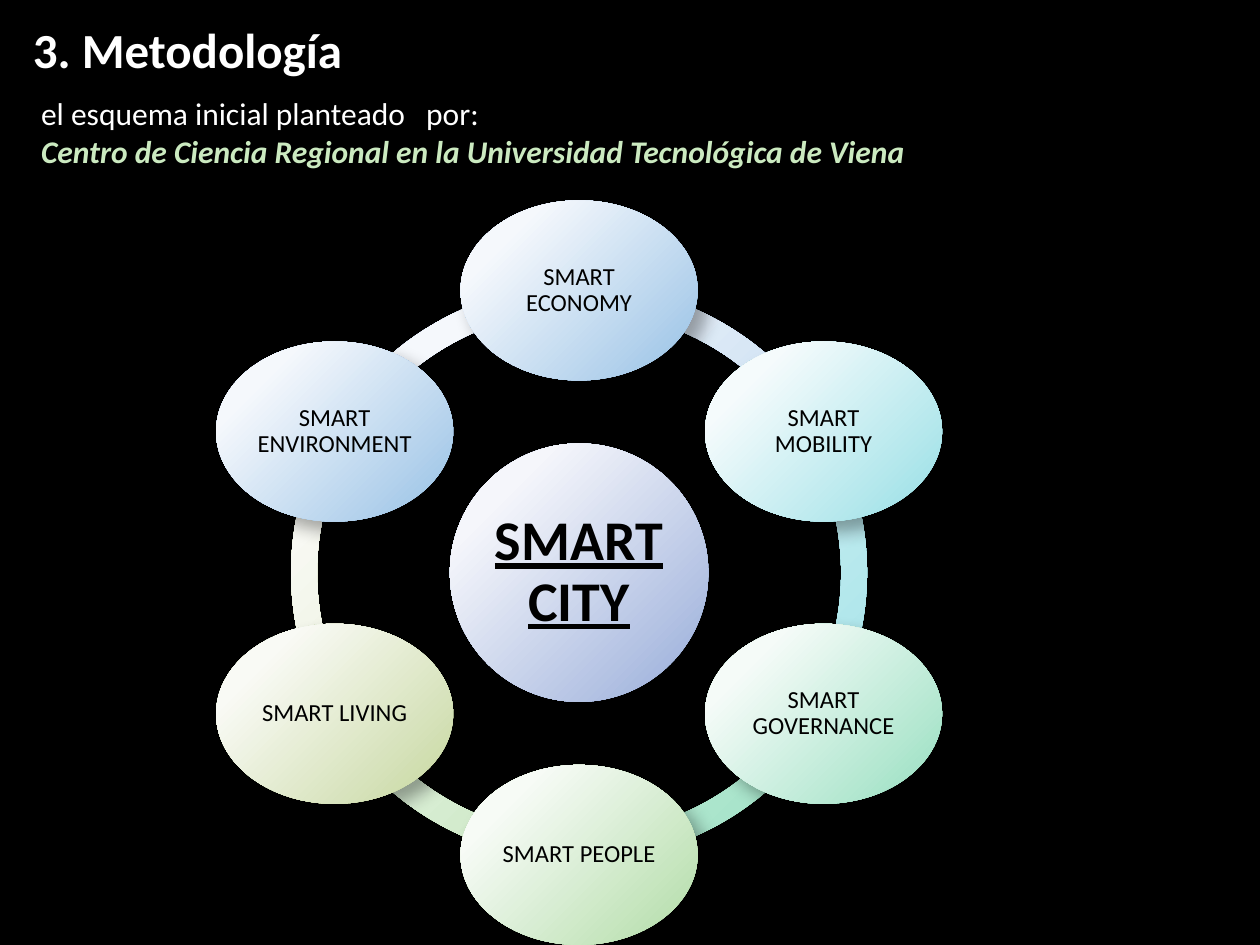
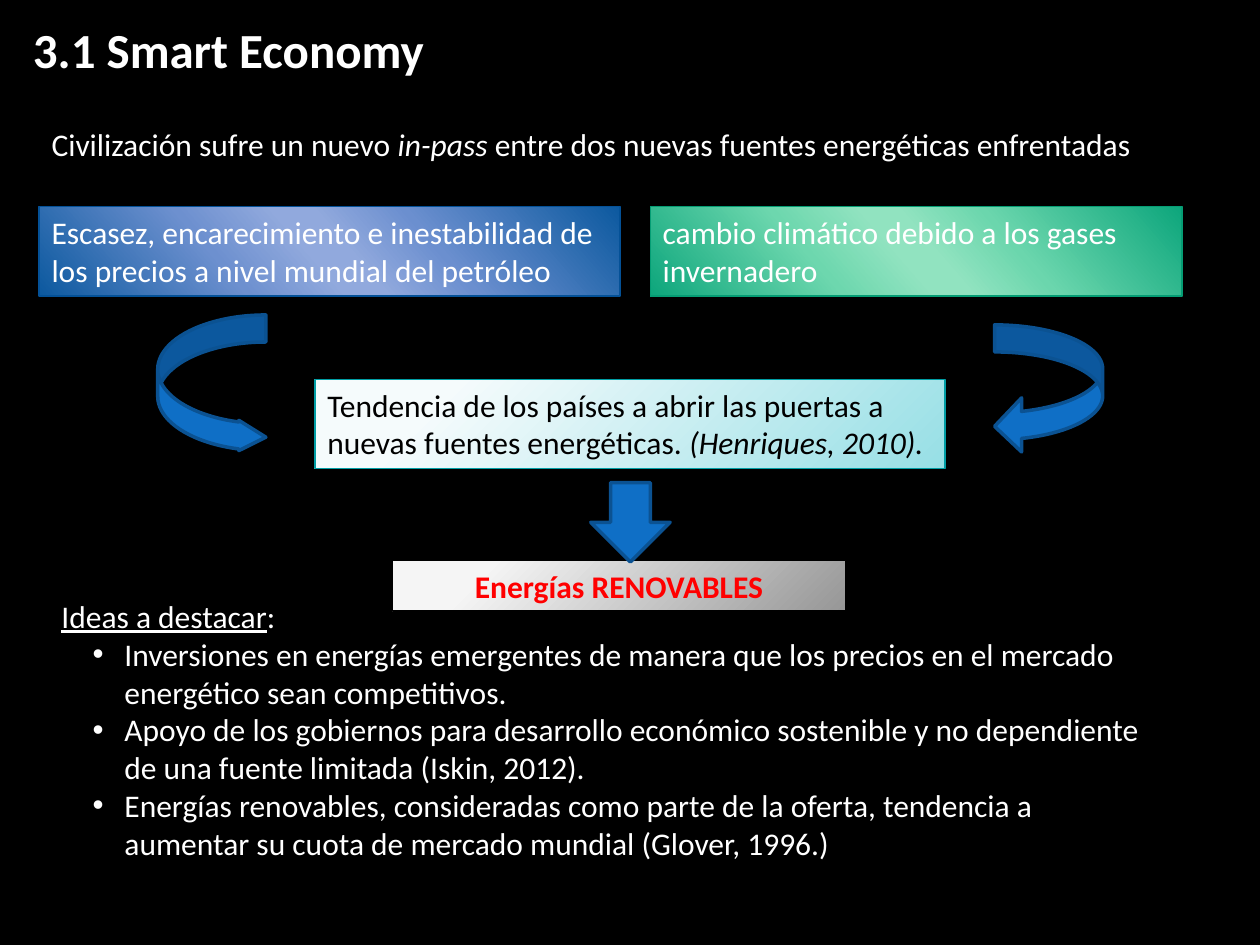
from math import cos, radians, sin

from pptx import Presentation
from pptx import util as u
from pptx.dml.color import RGBColor
from pptx.enum import shapes, text
from pptx.oxml import parse_xml
from pptx.oxml.ns import nsdecls

COLORS = {
    "black": "000000", "white": "FFFFFF", "pale green": "CBEAC0", "red": "FF0000",
    "arrow": "0F6FC6", "arrow edge": "0B5292",
    "blue edge": "045197", "mint edge": "059D74", "cyan edge": "019EA5",
}
# Light corner and far corner of each glossy tint
GLOSS = {
    "blue": ("F5F8FC", "97C1E5"), "cyan": ("F5FBFC", "97DFE5"),
    "mint": ("F5FBF8", "97DFC0"), "green": ("F7FBF6", "B1DCA7"),
    "olive": ("F9FAF5", "C6D79F"), "indigo": ("F5F6FB", "97ACD9"),
    "grey": ("F5F5F5", "979797"),
}
# Band colours from the edge to the middle and back
SHEEN_STOPS = (0, 33, 47, 53, 68, 100)
SHEEN = {
    "blue": ("0C599F", "6B8FCF", "91A9DD", "91A9DD", "6D90CF", "0C599F"),
    "mint": ("0DA67C", "6BD6AD", "91E3C0", "91E3C0", "6DD7AE", "0DA67C"),
}
GLOSS_SHADE = ('<a:path path="circle"><a:fillToRect l="-15000" t="-15000" '
               'r="115000" b="115000"/></a:path>')
SHEEN_SHADE = '<a:lin ang="8350000" scaled="1"/>'
GLOSS_SHADOW = (35, 10.2, 8)
SHEEN_SHADOW = (26, 15, 18)

BODY = {"name": "Calibri", "size": u.Pt(18), "color": "white"}
TITLE = {**BODY, "size": u.Pt(28), "bold": True}
NODE = {**BODY, "size": u.Pt(14), "color": "black"}
HUB = {**NODE, "size": u.Pt(32), "bold": True, "underline": True}

DIMENSIONS = [("SMART ECONOMY", "blue"), ("SMART MOBILITY", "cyan"),
              ("SMART GOVERNANCE", "mint"), ("SMART PEOPLE", "green"),
              ("SMART LIVING", "olive"), ("SMART ENVIRONMENT", "blue")]
IDEAS = [
    "Inversiones en energías emergentes de manera que los precios en el mercado "
    "energético sean competitivos.",
    "Apoyo de los gobiernos para desarrollo económico sostenible y no dependiente "
    "de una fuente limitada (Iskin, 2012).",
    "Energías renovables, consideradas como parte de la oferta, tendencia a "
    "aumentar su cuota de mercado mundial (Glover, 1996.)",
]


# ---- Shared helpers ----

def rgb(name):
    return RGBColor.from_string(COLORS[name])


def cm(*lengths):
    return [u.Cm(length) for length in lengths]


def write(frame, paragraphs, style, align=text.PP_ALIGN.LEFT,
          anchor=text.MSO_ANCHOR.TOP, inset=None):
    """Each paragraph is a list of (words, changes to the style)."""
    frame.word_wrap = True
    frame.auto_size = text.MSO_AUTO_SIZE.NONE
    frame.vertical_anchor = anchor
    if inset is not None:
        for side in ("left", "top", "right", "bottom"):
            setattr(frame, f"margin_{side}", u.Cm(inset))
    for index, runs in enumerate(paragraphs):
        paragraph = frame.paragraphs[0] if index == 0 else frame.add_paragraph()
        paragraph.alignment = align
        for words, changes in runs:
            run = paragraph.add_run()
            run.text = words
            for key, value in {**style, **changes}.items():
                if key == "color":
                    run.font.color.rgb = rgb(value)
                else:
                    setattr(run.font, key, value)


def add_text(slide, box, paragraphs):
    frame = slide.shapes.add_textbox(*cm(*box)).text_frame
    write(frame, paragraphs, BODY)
    return frame


def add_figure(slide, kind, box, edge=None, width=0.75, adjustments=()):
    figure = slide.shapes.add_shape(kind, *cm(*box))
    figure.shadow.inherit = False
    for index, value in enumerate(adjustments):
        figure.adjustments[index] = value
    if edge:
        figure.line.color.rgb = rgb(edge)
        figure.line.width = u.Pt(width)
    else:
        figure.line.fill.background()
    return figure


def shade(figure, stops, direction, shadow):
    """Give a figure a gradient and a soft shadow to its lower right."""
    marks = "".join(f'<a:gs pos="{position * 1000}"><a:srgbClr val="{color}"/></a:gs>'
                    for position, color in stops)
    properties = figure._element.spPr
    properties.prstGeom.addnext(parse_xml(
        f'<a:gradFill {nsdecls("a")} rotWithShape="1"><a:gsLst>{marks}</a:gsLst>'
        f'{direction}</a:gradFill>'))
    alpha, blur, distance = shadow
    properties.find("{*}effectLst").append(parse_xml(
        f'<a:outerShdw {nsdecls("a")} blurRad="{u.Pt(blur)}" dist="{u.Pt(distance)}" '
        f'dir="2700000" rotWithShape="0"><a:srgbClr val="{COLORS["black"]}">'
        f'<a:alpha val="{alpha * 1000}"/></a:srgbClr></a:outerShdw>'))


def add_glossy(slide, kind, box, tint, **options):
    figure = add_figure(slide, kind, box, **options)
    shade(figure, zip((20, 100), GLOSS[tint]), GLOSS_SHADE, GLOSS_SHADOW)
    return figure


def add_titled_slide(prs, words):
    slide = prs.slides.add_slide(prs.slide_layouts[5])
    title = slide.shapes.title
    title.left, title.top, title.width, title.height = cm(0.41, 0, 22.86, 1.98)
    write(title.text_frame, [[(words, {})]], TITLE, anchor=text.MSO_ANCHOR.MIDDLE)
    return slide


# ---- Methodology ----

def add_smart_city_wheel(slide, box):
    left, top, width, height = box
    center_x, center_y = left + width / 2, top + height / 2
    node_width, node_height = 4.78, 3.63
    orbit = (height - node_height) / 2

    def centered(wide, high, angle=0, distance=0):
        return (center_x + distance * cos(radians(angle)) - wide / 2,
                center_y + distance * sin(radians(angle)) - wide / 2 + (wide - high) / 2,
                wide, high)

    def add_disc(place, words, tint, style, inset):
        disc = add_glossy(slide, shapes.MSO_SHAPE.OVAL, place, tint)
        write(disc.text_frame, [[(words, {})]], style, text.PP_ALIGN.CENTER,
              text.MSO_ANCHOR.MIDDLE, inset)
        disc.text_frame.paragraphs[0].line_spacing = 0.9

    step = 360 / len(DIMENSIONS)
    wheel = [(270 + index * step, words, tint)
             for index, (words, tint) in enumerate(DIMENSIONS)]

    # Ring: each arc starts at the node of its tint; angles count 0.6 per degree
    for angle, _, tint in reversed(wheel):
        ends = [0.6 * (turn % 360) for turn in (angle, angle + step)]
        add_glossy(slide, shapes.MSO_SHAPE.BLOCK_ARC, centered(11.61, 11.61), tint,
                   adjustments=(*ends, 0.045))
    # Hub and nodes
    add_disc(centered(5.21, 5.21), "SMART CITY", "indigo", HUB, 0.1)
    for angle, words, tint in wheel:
        add_disc(centered(node_width, node_height, angle, orbit), words, tint, NODE, 0.05)


def build_methodology(prs):
    slide = add_titled_slide(prs, "3. Metodología")
    add_text(slide, (0.58, 1.78, 24.41, 1.8), [
        [("el esquema inicial planteado \t por:", {})],
        [("Centro de Ciencia Regional en la Universidad Tecnológica de Viena",
          {"color": "pale green", "bold": True, "italic": True})],
    ])
    add_smart_city_wheel(slide, (4.37, 4.04, 14.61, 15.01))


# ---- Smart economy ----

def add_causes(slide, box):
    left, top, width, height = box
    gap, oil_width = 0.61, 11.71
    climate_left = left + oil_width + gap
    causes = [
        (left, oil_width, "blue",
         "Escasez, encarecimiento e inestabilidad de los precios a nivel mundial del petróleo"),
        (climate_left, left + width - climate_left, "mint",
         "cambio climático debido a los gases invernadero"),
    ]
    for cause_left, cause_width, tint, words in causes:
        cause = add_figure(slide, shapes.MSO_SHAPE.RECTANGLE,
                           (cause_left, top, cause_width, height), f"{tint} edge")
        shade(cause, zip(SHEEN_STOPS, SHEEN[tint]), SHEEN_SHADE, SHEEN_SHADOW)
        write(cause.text_frame, [[(words, {})]], BODY)


def add_outcome(slide, box):
    left, top, width, _ = box
    # Trend and its result
    trend = add_glossy(slide, shapes.MSO_SHAPE.RECTANGLE,
                       (left + 3.17, top + 1.3, 12.7, 1.8), "cyan", edge="cyan edge")
    write(trend.text_frame, [[
        ("Tendencia de los países a abrir las puertas a nuevas fuentes energéticas. ", {}),
        ("(Henriques, 2010).", {"italic": True})]], {**BODY, "color": "black"})
    renewables = add_glossy(slide, shapes.MSO_SHAPE.RECTANGLE,
                            (left + 4.74, top + 4.95, 9.12, 1.02), "grey", edge="black")
    write(renewables.text_frame, [[("Energías RENOVABLES", {})]],
          {**BODY, "color": "red", "bold": True}, text.PP_ALIGN.CENTER)
    # Arrows
    arrows = [
        (shapes.MSO_SHAPE.CURVED_RIGHT_ARROW, (left, top, 2.18, 2.77), (0.25, 0.28, 0.25)),
        (shapes.MSO_SHAPE.CURVED_LEFT_ARROW,
         (left + width - 2.18, top + 0.2, 2.18, 2.59), ()),
        (shapes.MSO_SHAPE.DOWN_ARROW, (left + 8.73, top + 3.38, 1.6, 1.6), ()),
    ]
    for kind, place, adjustments in arrows:
        arrow = add_figure(slide, kind, place, "arrow edge", 2, adjustments)
        arrow.fill.solid()
        arrow.fill.fore_color.rgb = rgb("arrow")


def add_ideas(slide, box):
    heading = [("Ideas a destacar", {"underline": True}), (":", {})]
    frame = add_text(slide, box, [heading] + [[(idea, {})] for idea in IDEAS])
    for paragraph in frame.paragraphs[1:]:
        paragraph.level = 1
        layout = paragraph._p.get_or_add_pPr()
        layout.set("marL", str(u.Cm(1.27)))
        layout.set("indent", str(u.Cm(-0.64)))
        layout.append(parse_xml(f'<a:buFont {nsdecls("a")} typeface="Arial"/>'))
        layout.append(parse_xml(f'<a:buChar {nsdecls("a")} char="•"/>'))


def build_smart_economy(prs):
    slide = add_titled_slide(prs, "3.1 Smart Economy")
    add_text(slide, (0.79, 2.39, 23.01, 1.02), [[
        ("Civilización sufre un nuevo ", {}), ("in-pass ", {"italic": True}),
        ("entre dos nuevas fuentes energéticas enfrentadas", {})]])
    add_causes(slide, (0.79, 4.17, 23.04, 1.8))
    add_ideas(slide, (0.99, 11.91, 22.43, 5.64))
    add_outcome(slide, (3.18, 6.35, 19.05, 5.97))


def main():
    prs = Presentation()
    prs.slide_width, prs.slide_height = cm(25.4, 19.05)
    backdrop = prs.slide_master.background.fill
    backdrop.solid()
    backdrop.fore_color.rgb = rgb("black")
    build_methodology(prs)
    build_smart_economy(prs)
    prs.save("out.pptx")


if __name__ == "__main__":
    main()
